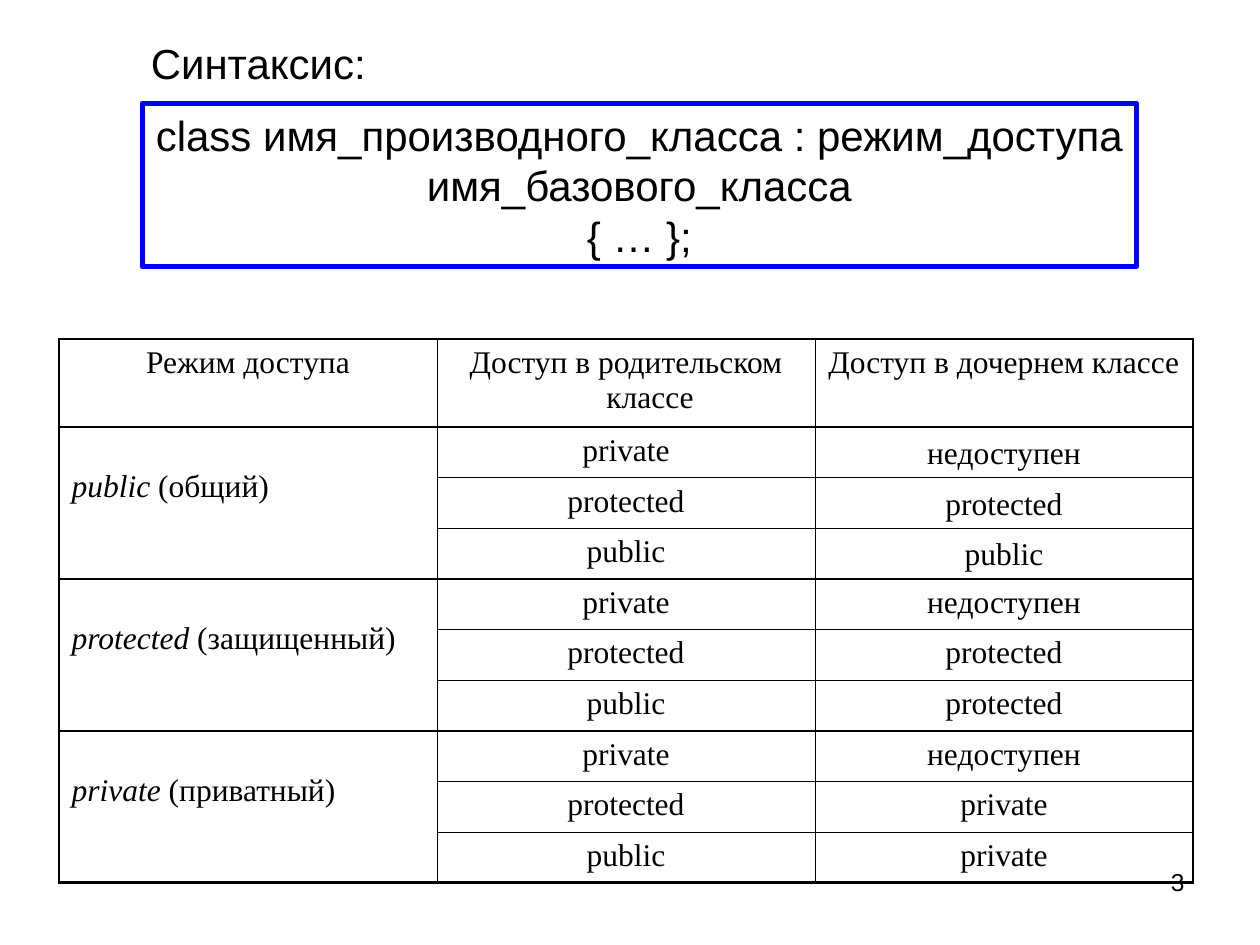
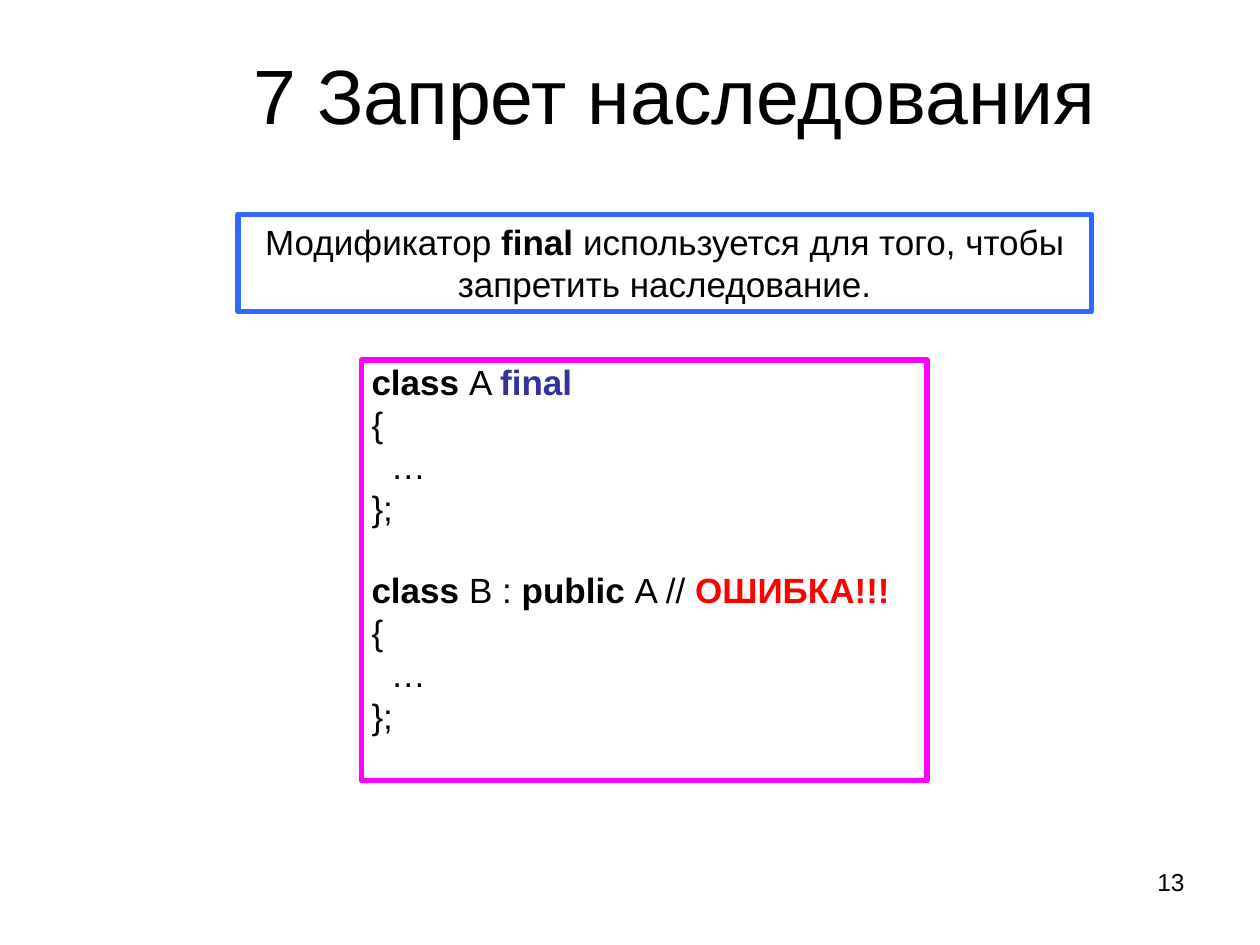
import pptx
import pptx.util
import pptx.dml.color
import pptx.enum.shapes
import pptx.enum.text
import pptx.oxml.ns
import lxml.etree

Cm = pptx.util.Cm
Pt = pptx.util.Pt
Align = pptx.enum.text.PP_ALIGN
Anchor = pptx.enum.text.MSO_ANCHOR
HUES = {"text": "000000", "blue": "0000FF", "sky": "3366FF",
        "pink": "FF00FF", "navy": "333399", "red": "FF0000"}
THICK, THIN = 1.47, 0.45
BOLD, ITALIC = {"bold": True}, {"italic": True}


def rgb(name):
    return pptx.dml.color.RGBColor.from_string(HUES[name])


class Deck:
    def __init__(self):
        self.file = pptx.Presentation()
        self.file.slide_width, self.file.slide_height = Cm(25.4), Cm(19.05)

    def page(self):
        self.slide = self.file.slides.add_slide(self.file.slide_layouts[6])

    def line(self, para, runs, size, align, face="Arial"):
        para.alignment = align
        font = para.font
        font.name, font.size = face, Pt(size)
        font.color.rgb = rgb("text")
        for words, style in [(runs, {})] if isinstance(runs, str) else runs:
            run = para.add_run()
            run.text = words
            run.font.bold = style.get("bold")
            run.font.italic = style.get("italic")
            if "hue" in style:
                run.font.color.rgb = rgb(style["hue"])

    def fill(self, frame, lines, size, align, anchor, wrap=True):
        frame.word_wrap = wrap
        frame.vertical_anchor = anchor
        for pos, runs in enumerate(lines):
            para = frame.add_paragraph() if pos else frame.paragraphs[0]
            self.line(para, runs, size, align)

    def label(self, at, words, size, align=Align.LEFT, anchor=Anchor.TOP):
        box = self.slide.shapes.add_textbox(*map(Cm, at))
        self.fill(box.text_frame, [words], size, align, anchor)

    def frame(self, at, hue, lines, size, align=Align.CENTER,
              anchor=Anchor.TOP, wrap=True):
        kind = pptx.enum.shapes.MSO_SHAPE.RECTANGLE
        box = self.slide.shapes.add_shape(kind, *map(Cm, at))
        box.shadow.inherit = False
        box.fill.background()
        box.line.color.rgb, box.line.width = rgb(hue), Pt(3)
        self.fill(box.text_frame, lines, size, align, anchor, wrap)
        return box.text_frame

    def number(self, value):
        self.label((18.21, 17.35, 5.92, 1.32), value, 14, Align.RIGHT)

    def edge(self, cell, side, width):
        tag = pptx.oxml.ns.qn
        props = cell._tc.get_or_add_tcPr()
        line = lxml.etree.SubElement(props, tag(f"a:ln{side}"), w=str(Pt(width)))
        paint = lxml.etree.SubElement(line, tag("a:solidFill"))
        lxml.etree.SubElement(paint, tag("a:srgbClr"), val=HUES["text"])

    def cell(self, cell, runs, align, sides):
        for side, width in sides.items():
            self.edge(cell, side, width)
        cell.fill.background()
        if runs:
            para = cell.text_frame.paragraphs[0]
            props = para._p.get_or_add_pPr()
            props.set("marL", str(Cm(0.97)))
            props.set("indent", str(-Cm(0.97)))
            self.line(para, runs, 18, align, "Times New Roman")

    def table(self, at, heads, groups):
        size = sum(len(pairs) for _, pairs in groups)
        rows = [heads]
        for name, pairs in groups:
            rows += [(name if not pos else None, *pair)
                     for pos, pair in enumerate(pairs)]
        left, top, wide, high = at
        grid = self.slide.shapes.add_table(
            size + 1, len(heads), Cm(left), Cm(top),
            Cm(wide * len(heads)), Cm(1.78 + high * size)).table
        grid.first_row = grid.horz_banding = False
        for col in grid.columns:
            col.width = Cm(wide)
        for row in grid.rows:
            row.height = Cm(high)
        grid.rows[0].height = Cm(1.78)
        last = len(heads) - 1
        for y, row in enumerate(rows):
            for x, runs in enumerate(row):
                sides = {
                    "L": THICK if x == 0 else THIN,
                    "R": THICK if x == last else THIN,
                    "T": THICK if x == 0 or y == 0 or y % 3 == 1 else THIN,
                    "B": THICK if x == 0 or y % 3 == 0 else THIN}
                align = Align.LEFT if x == 0 and y else Align.CENTER
                self.cell(grid.cell(y, x), runs, align, sides)
        for y in range(1, size, 3):
            head = grid.cell(y, 0)
            head.merge(grid.cell(y + 2, 0))
            head.margin_top = Cm(0.86)
        for y in range(1, 4):
            grid.cell(y, last).vertical_anchor = Anchor.BOTTOM


def syntax(deck):
    deck.page()
    deck.frame((2.87, 2.08, 20.04, 3.3), "blue",
               ["сlass имя_производного_класса : режим_доступа",
                "имя_базового_класса", "{ … };"],
               24, anchor=Anchor.MIDDLE, wrap=False)
    modes = ("private", "protected", "public")
    access = [("public", " (общий)", ("protected", "public")),
              ("protected", " (защищенный)", ("protected", "protected")),
              ("private", " (приватный)", ("private", "private"))]
    groups = [([(mode, ITALIC), (note, {})],
               list(zip(modes, ("недоступен", *kept))))
              for mode, note, kept in access]
    deck.table((1.19, 6.83, 7.62, 1.02),
               ("Режим доступа", "Доступ в родительском классе",
                "Доступ в дочернем классе"), groups)
    deck.label((2.79, 0.64, 8.61, 1.27), "Синтаксис:", 24)
    deck.number("3")


def final(deck):
    deck.page()
    deck.label((3, 0.64, 21.21, 2.49), "7 Запрет наследования", 44,
               Align.CENTER, Anchor.MIDDLE)
    body = ["{", "  …", "};"]
    code = deck.frame(
        (7.29, 7.26, 11.4, 8.48), "pink",
        [[("class ", BOLD), ("A ", {}), ("final", {"bold": True, "hue": "navy"})],
         *body,
         [("class ", BOLD), ("B : ", {}), ("public ", BOLD), ("A // ", {}),
          ("ОШИБКА!!!", {"bold": True, "hue": "red"})],
         *body], 20, Align.LEFT)
    code.margin_left = Cm(0.2)
    code.margin_top = code.margin_right = code.margin_bottom = 0
    code.paragraphs[4].space_before = Pt(23)
    deck.frame((4.8, 4.32, 17.2, 1.96), "sky",
               [[("Модификатор ", {}), ("final", BOLD),
                 (" используется для того, чтобы запретить наследование.", {})]],
               20)
    deck.number("13")


def main():
    deck = Deck()
    syntax(deck)
    final(deck)
    deck.file.save("out.pptx")


if __name__ == "__main__":
    main()
